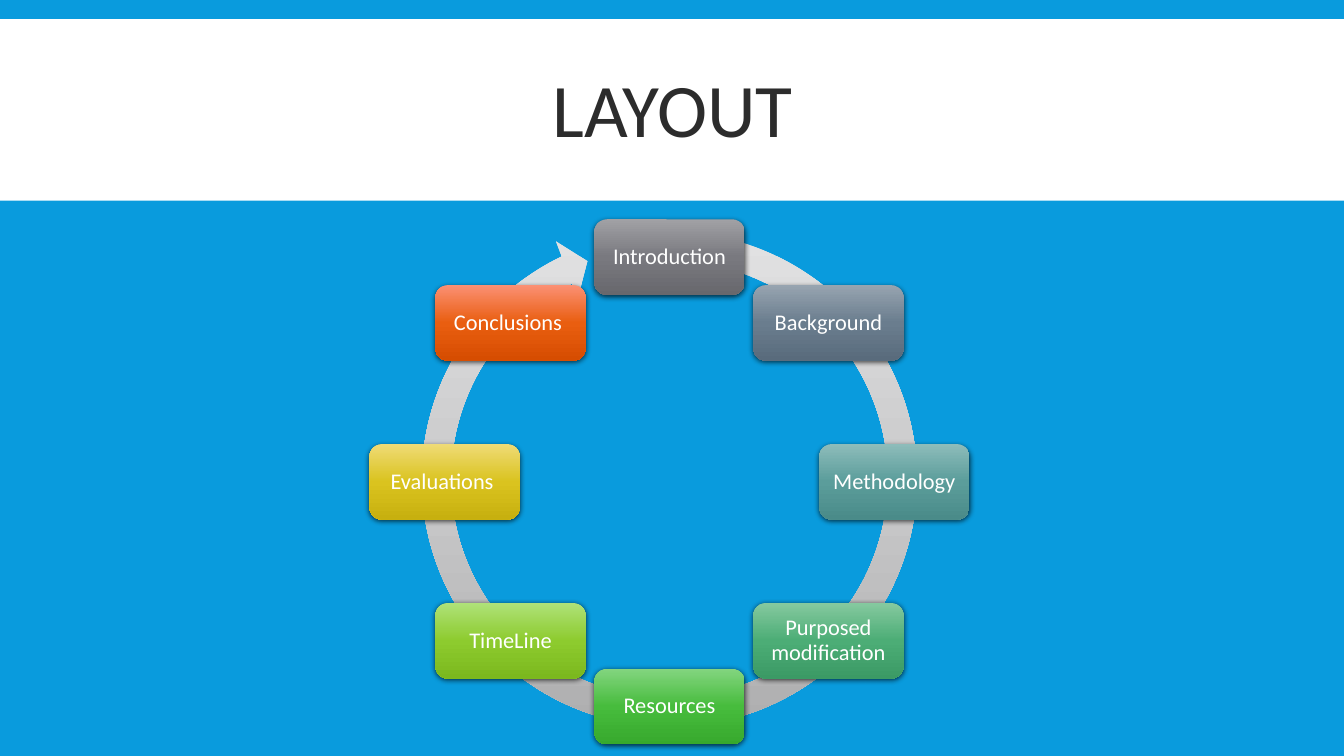
from copy import deepcopy
from dataclasses import dataclass
from math import cos, pi, sin

from pptx import Presentation
from pptx.dml.color import RGBColor
from pptx.enum.shapes import MSO_SHAPE
from pptx.enum.text import MSO_ANCHOR, PP_ALIGN
from pptx.oxml import parse_xml
from pptx.oxml.ns import nsdecls
from pptx.shapes.autoshape import Shape
from pptx.slide import Slide
from pptx.text.text import TextFrame
from pptx.util import Inches, Pt

BLUE = RGBColor(0x09, 0x9B, 0xDD)
WHITE = RGBColor(0xFF, 0xFF, 0xFF)
DARK = RGBColor(0x2C, 0x2C, 0x2C)
RING_COLORS = (RGBColor(0xE3, 0xE3, 0xE4), RGBColor(0xCA, 0xCA, 0xCB), RGBColor(0xAD, 0xAD, 0xAE))
FONT = "Calibri"

CENTER_X, CENTER_Y = 6.64, 4.78
RADIUS = 2.23
RING_SIZE = 5.23
RING_ADJUSTMENTS = (0.055, 3.307, 146.328, 168.836, 0.058)
STEP_W, STEP_H = 1.49, 0.75


@dataclass
class Step:
    label: str
    top: RGBColor
    middle: RGBColor
    bottom: RGBColor


# Clockwise from the top of the ring
STEPS = [
    Step("Introduction", RGBColor(0xA1, 0xA1, 0xA5), RGBColor(0x79, 0x79, 0x7F), RGBColor(0x68, 0x68, 0x6D)),
    Step("Background", RGBColor(0x97, 0xA4, 0xB0), RGBColor(0x6A, 0x7D, 0x8E), RGBColor(0x59, 0x6B, 0x7C)),
    Step("Methodology", RGBColor(0x8D, 0xBC, 0xBA), RGBColor(0x5B, 0x9D, 0x9B), RGBColor(0x4A, 0x8B, 0x89)),
    Step("Purposed modification", RGBColor(0x85, 0xC9, 0x9F), RGBColor(0x4C, 0xAD, 0x76), RGBColor(0x3B, 0x9A, 0x65)),
    Step("Resources", RGBColor(0x83, 0xD5, 0x7F), RGBColor(0x47, 0xBC, 0x3D), RGBColor(0x37, 0xA9, 0x2D)),
    Step("TimeLine", RGBColor(0xAF, 0xE2, 0x79), RGBColor(0x8D, 0xCB, 0x2E), RGBColor(0x7B, 0xB8, 0x1E)),
    Step("Evaluations ", RGBColor(0xEF, 0xDB, 0x76), RGBColor(0xDA, 0xC3, 0x1F), RGBColor(0xC7, 0xB0, 0x0F)),
    Step("Conclusions ", RGBColor(0xFB, 0x90, 0x74), RGBColor(0xE9, 0x5E, 0x10), RGBColor(0xD6, 0x4D, 0x01)),
]


def add_plain_shape(s: Slide, kind: MSO_SHAPE, x: float, y: float, w: float, h: float) -> Shape:
    """Add a shape without outline or shadow."""
    sp = s.shapes.add_shape(kind, Inches(x), Inches(y), Inches(w), Inches(h))
    sp.shadow.inherit = False
    sp.line.fill.background()
    return sp


def fill_downwards(sp: Shape, colors: tuple[RGBColor, RGBColor, RGBColor]) -> None:
    """Fill with an even three-colour gradient from top to bottom."""
    sp.fill.gradient()
    sp.fill.gradient_angle = 270
    stop_list = sp.fill.gradient_stops[0]._gs.getparent()
    stop_list.insert(1, deepcopy(stop_list[0]))
    for stop, position, color in zip(sp.fill.gradient_stops, (0, 0.5, 1), colors):
        stop.position = position
        stop.color.rgb = color


def add_drop_shadow(sp: Shape) -> None:
    effects = sp._element.spPr.find("{*}effectLst")
    effects.append(parse_xml(
        f'<a:outerShdw {nsdecls("a")} blurRad="{Pt(4)}" dist="{Pt(1.2)}" dir="5400000" '
        'algn="ctr" rotWithShape="0"><a:srgbClr val="000000"><a:alpha val="68000"/>'
        '</a:srgbClr></a:outerShdw>'))


def write_centered(tf: TextFrame, text: str, size: float, color: RGBColor, spacing: float) -> None:
    tf.word_wrap = True
    tf.vertical_anchor = MSO_ANCHOR.MIDDLE
    p = tf.paragraphs[0]
    p.alignment = PP_ALIGN.CENTER
    p.line_spacing = spacing
    r = p.add_run()
    r.text = text
    r.font.name = FONT
    r.font.size = Pt(size)
    r.font.color.rgb = color


def add_header(s: Slide) -> None:
    band = add_plain_shape(s, MSO_SHAPE.RECTANGLE, 0, 0.19, 13.33, 1.8)
    band.fill.solid()
    band.fill.fore_color.rgb = WHITE
    title = s.shapes.title
    title._element.addprevious(band._element)
    title.left, title.top = Inches(1.32), Inches(0.31)
    title.width, title.height = Inches(10.7), Inches(1.65)
    write_centered(title.text_frame, "LAYOUT", 54, DARK, 0.85)


def add_ring(s: Slide) -> None:
    ring = add_plain_shape(s, MSO_SHAPE.CIRCULAR_ARROW, CENTER_X - RING_SIZE / 2, 2.14, RING_SIZE, RING_SIZE)
    for i, value in enumerate(RING_ADJUSTMENTS):
        ring.adjustments[i] = value
    fill_downwards(ring, RING_COLORS)


def add_step(s: Slide, step: Step, angle: float) -> None:
    """Place a step on the ring, its angle measured clockwise from the top."""
    x = CENTER_X + RADIUS * sin(angle) - STEP_W / 2
    y = CENTER_Y - RADIUS * cos(angle) - STEP_H / 2
    sp = add_plain_shape(s, MSO_SHAPE.ROUNDED_RECTANGLE, x, y, STEP_W, STEP_H)
    fill_downwards(sp, (step.top, step.middle, step.bottom))
    add_drop_shadow(sp)
    tf = sp.text_frame
    tf.margin_left = tf.margin_right = tf.margin_top = tf.margin_bottom = Inches(0.07)
    write_centered(tf, step.label, 16, WHITE, 0.9)


def main() -> None:
    prs = Presentation()
    prs.slide_width, prs.slide_height = Inches(13.33), Inches(7.5)
    s = prs.slides.add_slide(prs.slide_layouts[5])
    s.background.fill.solid()
    s.background.fill.fore_color.rgb = BLUE
    add_header(s)
    add_ring(s)
    for i, step in enumerate(STEPS):
        add_step(s, step, 2 * pi * i / len(STEPS))
    prs.save("out.pptx")


if __name__ == "__main__":
    main()
